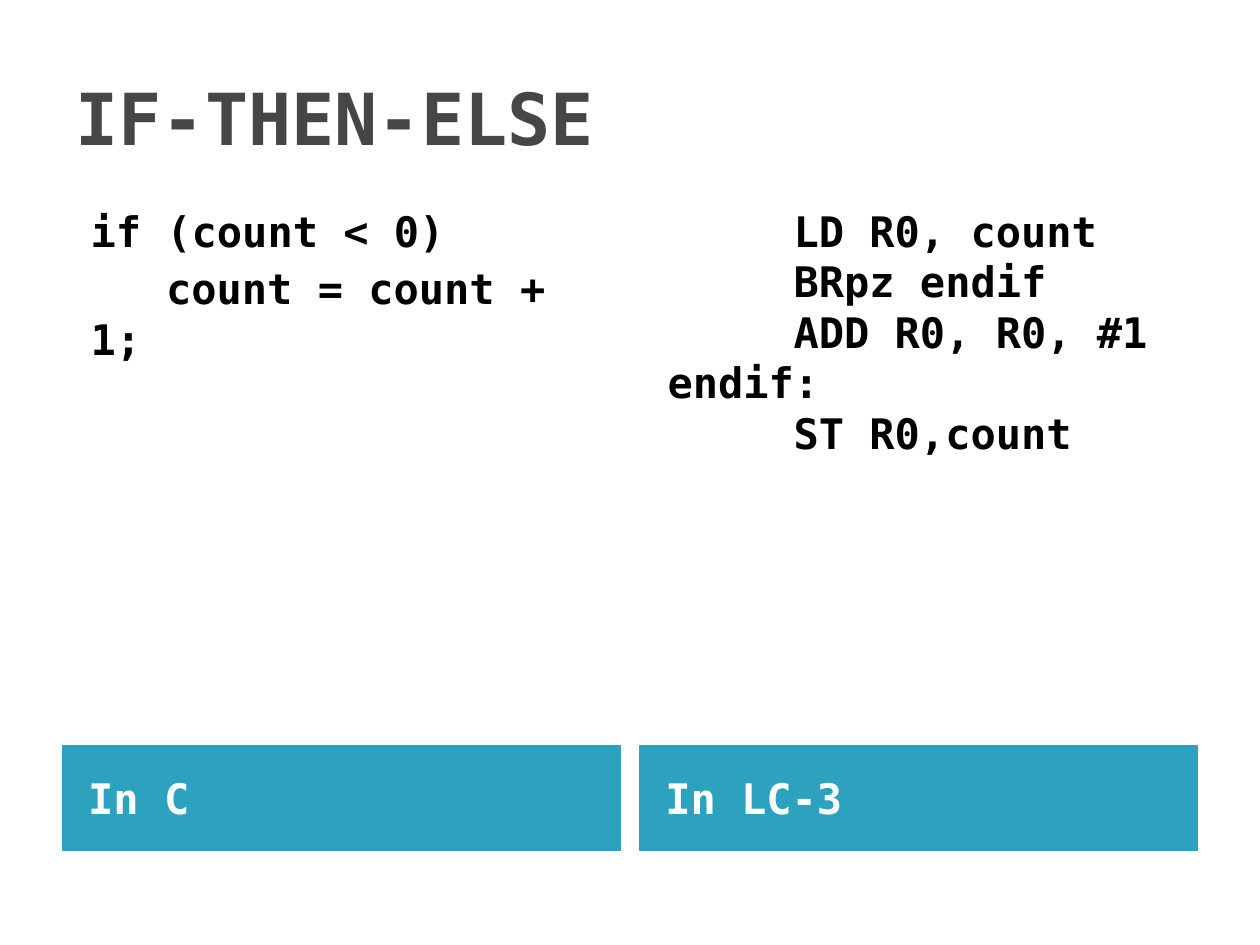
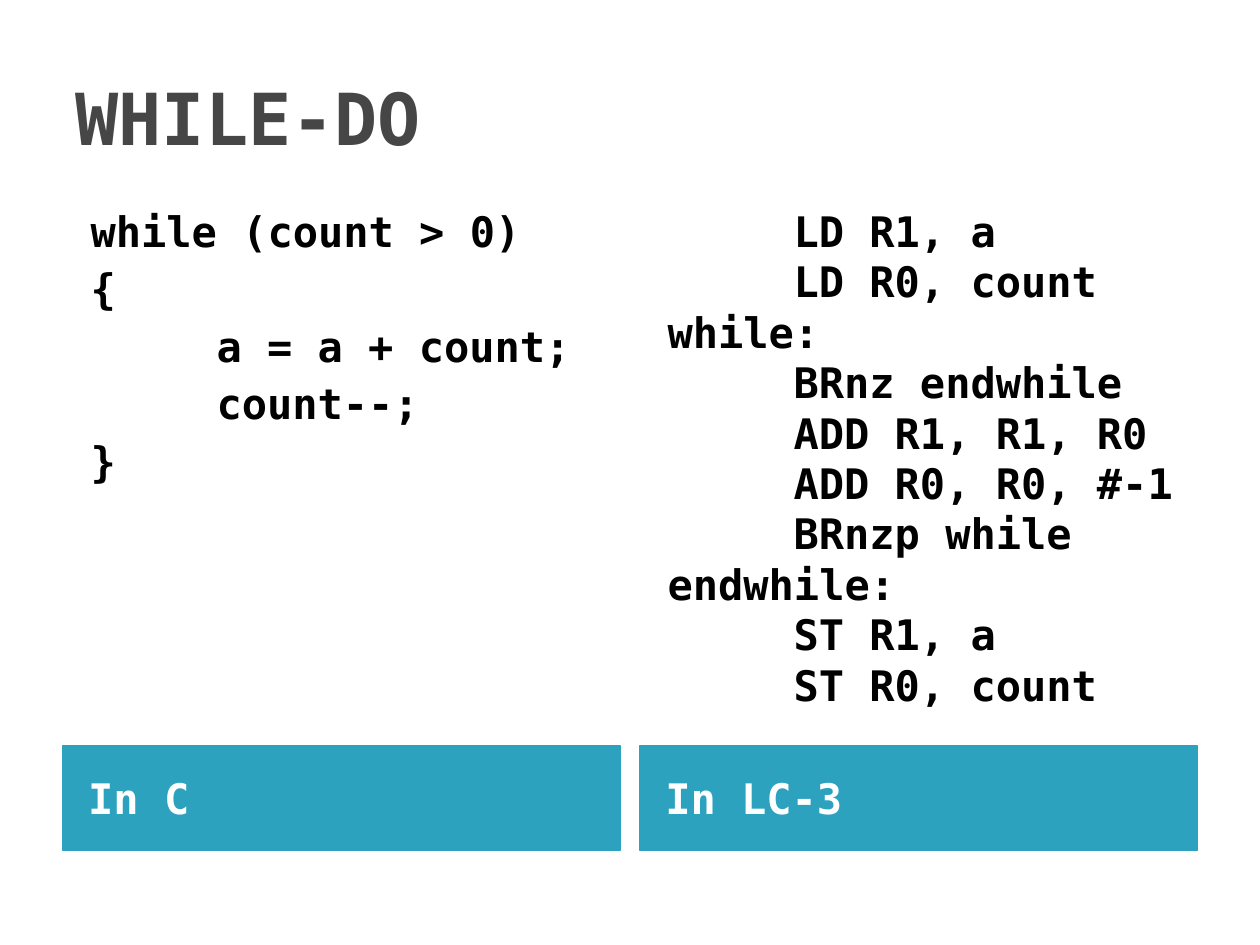
"""Build two slides that set C control structures beside their LC-3 assembly."""
import dataclasses

import pptx
import pptx.dml.color
import pptx.enum.shapes
import pptx.enum.text
import pptx.util

COLORS = {"title": "464646", "code": "000000", "band": "2DA2BF", "label": "FFFFFF"}
FONT = "DejaVu Sans Mono"
SLIDE_WIDTH = pptx.util.Inches(10)
SLIDE_HEIGHT = pptx.util.Inches(7.5)
MARGIN = 0.05
COLUMN_WIDTH = 0.442
COLUMN_STEP = 1 - 2 * MARGIN - COLUMN_WIDTH
TITLE_ROW = (0.04, 0.167)
CODE_ROW = (0.211, 0.575)
BAND_ROW = (0.789, 0.111)
CODE_MARGIN = pptx.util.Inches(0.12)
LANGUAGES = ("In C", "In LC-3")
LINE_GAPS = (4, 0)


@dataclasses.dataclass(frozen=True)
class CodeLine:
    """A line of code and the indent of its first line in inches."""

    text: str
    indent: float = 0


@dataclasses.dataclass(frozen=True)
class Comparison:
    """A control structure written in both languages."""

    title: str
    c_lines: tuple[CodeLine, ...]
    assembly_lines: tuple[CodeLine, ...]


def flush(text: str) -> tuple[CodeLine, ...]:
    """Give one code line at the left edge."""
    return (CodeLine(text),)


def nested(*texts: str, indent: float = 1) -> tuple[CodeLine, ...]:
    """Give code lines that share an indent."""
    return tuple(CodeLine(text, indent) for text in texts)


COMPARISONS = (
    Comparison(
        "IF-THEN-ELSE",
        flush("if (count < 0)") + nested("count = count + 1;", indent=0.6),
        nested("LD R0, count", "BRpz endif", "ADD R0, R0, #1")
        + flush("endif:")
        + nested("ST R0,count"),
    ),
    Comparison(
        "WHILE-DO",
        flush("while (count > 0)")
        + flush("{")
        + nested("a = a + count;", "count--;")
        + flush("}"),
        nested("LD R1, a", "LD R0, count")
        + flush("while:")
        + nested("BRnz endwhile", "ADD R1, R1, R0", "ADD R0, R0, #-1", "BRnzp while")
        + flush("endwhile:")
        + nested("ST R1, a", "ST R0, count"),
    ),
)


def color(name: str) -> pptx.dml.color.RGBColor:
    """Look up a named colour."""
    return pptx.dml.color.RGBColor.from_string(COLORS[name])


def area(left: float, width: float, row: tuple[float, float]) -> tuple[int, int, int, int]:
    """Turn shares of the slide into left, top, width and height."""
    top, height = row
    return (
        round(left * SLIDE_WIDTH), round(top * SLIDE_HEIGHT),
        round(width * SLIDE_WIDTH), round(height * SLIDE_HEIGHT),
    )


def column_area(column: int, row: tuple[float, float]) -> tuple[int, int, int, int]:
    """Give the area where a column meets a row."""
    return area(MARGIN + column * COLUMN_STEP, COLUMN_WIDTH, row)


def format_paragraph(paragraph, size: float, color_name: str, space_before: float = 0) -> None:
    """Apply the shared bold monospaced style."""
    paragraph.alignment = pptx.enum.text.PP_ALIGN.LEFT
    paragraph.space_before = pptx.util.Pt(space_before)
    paragraph.font.name = FONT
    paragraph.font.size = pptx.util.Pt(size)
    paragraph.font.bold = True
    paragraph.font.color.rgb = color(color_name)


def set_title(slide, text: str) -> None:
    """Place and fill the title placeholder."""
    title = slide.shapes.title
    title.left, title.top, title.width, title.height = area(MARGIN, 1 - 2 * MARGIN, TITLE_ROW)
    frame = title.text_frame
    frame.text = text
    frame.auto_size = pptx.enum.text.MSO_AUTO_SIZE.NONE
    frame.vertical_anchor = pptx.enum.text.MSO_ANCHOR.MIDDLE
    format_paragraph(frame.paragraphs[0], 41, "title")


def add_band(slide, column: int) -> None:
    """Add the band naming the language of a column."""
    band = slide.shapes.add_shape(
        pptx.enum.shapes.MSO_SHAPE.RECTANGLE, *column_area(column, BAND_ROW)
    )
    band.shadow.inherit = False
    band.fill.solid()
    band.fill.fore_color.rgb = color("band")
    band.line.color.rgb = color("band")
    band.line.width = pptx.util.Pt(0.75)
    frame = band.text_frame
    frame.text = LANGUAGES[column]
    frame.margin_left = pptx.util.Inches(0.2)
    frame.vertical_anchor = pptx.enum.text.MSO_ANCHOR.MIDDLE
    format_paragraph(frame.paragraphs[0], 24, "label", 4)


def add_code(slide, column: int, lines: tuple[CodeLine, ...]) -> None:
    """Add the code listing of a column."""
    frame = slide.shapes.add_textbox(*column_area(column, CODE_ROW)).text_frame
    frame.word_wrap = True
    frame.text = "\n".join(line.text for line in lines)
    for paragraph, line in zip(frame.paragraphs, lines):
        format_paragraph(paragraph, 24, "code", LINE_GAPS[column])
        properties = paragraph._p.get_or_add_pPr()
        properties.set("marL", str(CODE_MARGIN))
        properties.set("indent", str(pptx.util.Inches(line.indent)))


def add_comparison(presentation, comparison: Comparison) -> None:
    """Add one slide with both listings and their bands."""
    slide = presentation.slides.add_slide(presentation.slide_layouts.get_by_name("Title Only"))
    set_title(slide, comparison.title)
    for column, lines in enumerate((comparison.c_lines, comparison.assembly_lines)):
        add_band(slide, column)
        add_code(slide, column, lines)


def main() -> None:
    """Build and save the presentation."""
    presentation = pptx.Presentation()
    presentation.slide_width = SLIDE_WIDTH
    presentation.slide_height = SLIDE_HEIGHT
    for comparison in COMPARISONS:
        add_comparison(presentation, comparison)
    presentation.save("out.pptx")


if __name__ == "__main__":
    main()
